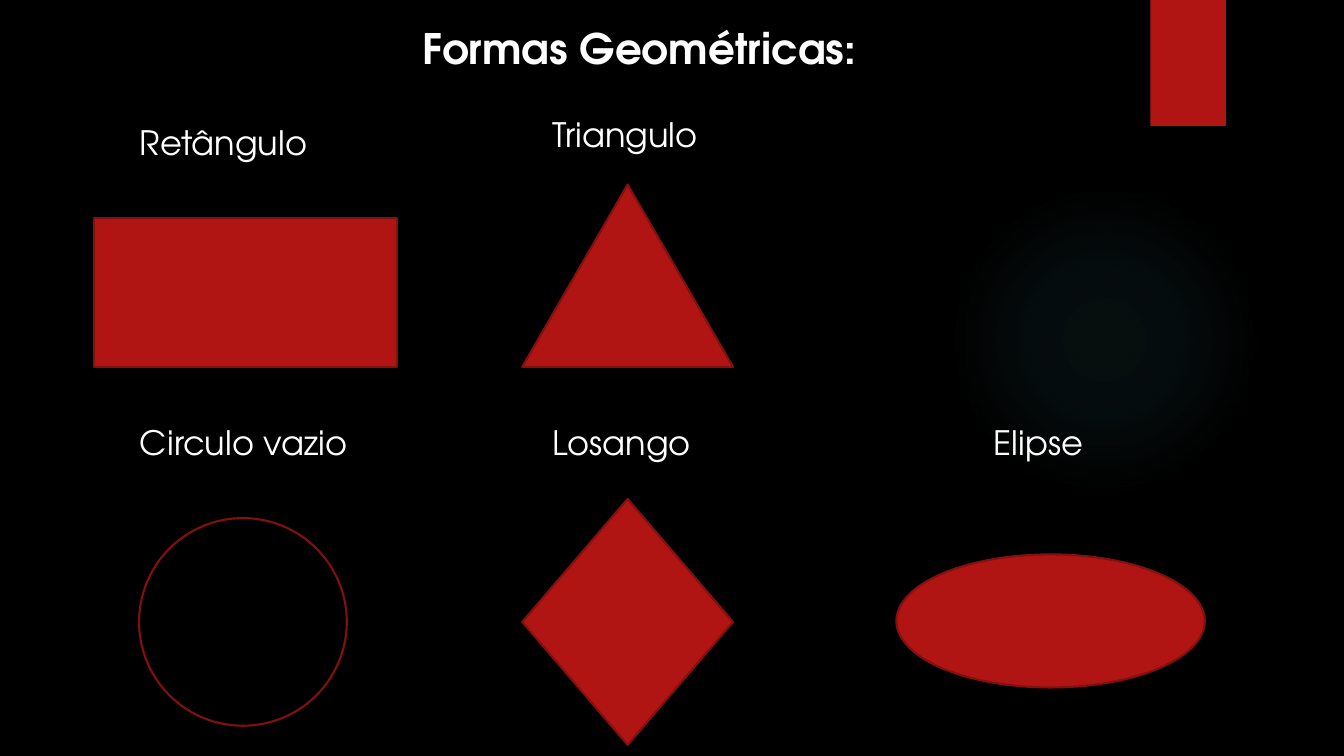
from lxml.etree import SubElement
from pptx import Presentation
from pptx.dml.color import RGBColor
from pptx.enum.shapes import MSO_SHAPE
from pptx.enum.text import MSO_AUTO_SIZE
from pptx.oxml import parse_xml
from pptx.oxml.ns import nsdecls, qn
from pptx.util import Inches, Pt

FONT = "TeX Gyre Adventor"
BLACK, WHITE, RED, DARK_RED, TEAL = "000000", "FFFFFF", "B01513", "82100E", "50B9C1"
GLOW_STOPS = [(0, 7), (36, 6), (69, 0)]

# label, label position, shape, shape box, fill
FIGURES = [
    ("Retângulo", (1.29, 1.16), MSO_SHAPE.RECTANGLE, (0.93, 2.16, 3.01, 1.48), RED),
    ("Triangulo", (5.38, 1.08), MSO_SHAPE.ISOSCELES_TRIANGLE, (5.18, 1.83, 2.09, 1.81), RED),
    ("Circulo vazio", (1.29, 4.14), MSO_SHAPE.OVAL, (1.38, 5.14, 2.06, 2.06), None),
    ("Losango", (5.38, 4.14), MSO_SHAPE.DIAMOND, (5.18, 4.95, 2.09, 2.44), RED),
    ("Elipse", (9.76, 4.14), MSO_SHAPE.OVAL, (8.89, 5.5, 3.06, 1.32), RED),
]


def color(value):
    return RGBColor.from_string(value)


def add_figure(page, kind, box, fill=None, line=None):
    shape = page.shapes.add_shape(kind, *map(Inches, box))
    shape.shadow.inherit = False
    if fill:
        shape.fill.solid()
        shape.fill.fore_color.rgb = color(fill)
    else:
        shape.fill.background()
    if line:
        shape.line.color.rgb = color(line)
        shape.line.width = Pt(1.5)
    else:
        shape.line.fill.background()
    return shape


def add_text(page, text, box, **font_format):
    frame = page.shapes.add_textbox(*map(Inches, box)).text_frame
    frame.word_wrap = False
    frame.auto_size = MSO_AUTO_SIZE.SHAPE_TO_FIT_TEXT
    span = frame.paragraphs[0].add_run()
    span.text = text
    span.font.color.rgb = color(WHITE)
    for name, value in {"name": FONT, **font_format}.items():
        setattr(span.font, name, value)


def add_glow(page, box):
    """Add a faint circle that fades out from its centre."""
    glow = add_figure(page, MSO_SHAPE.OVAL, box)
    stops = "".join(
        f'<a:gs pos="{place * 1000}"><a:srgbClr val="{TEAL}">'
        f'<a:alpha val="{alpha * 1000}"/></a:srgbClr></a:gs>'
        for place, alpha in GLOW_STOPS
    )
    gradient = parse_xml(
        f'<a:gradFill {nsdecls("a")}><a:gsLst>{stops}</a:gsLst><a:path path="circle">'
        '<a:fillToRect l="50000" t="50000" r="50000" b="50000"/></a:path></a:gradFill>'
    )
    properties = glow.element.spPr
    properties.replace(properties.find(qn("a:noFill")), gradient)


def add_ribbon(page, box):
    """Add the red tab at the top edge with its soft shadow."""
    ribbon = add_figure(page, MSO_SHAPE.RECTANGLE, box, RED)
    effects = ribbon.element.spPr.find(qn("a:effectLst"))
    shadow = SubElement(effects, qn("a:outerShdw"), blurRad=str(Pt(3)),
                        dist=str(Pt(2)), dir="5400000", rotWithShape="0")
    tint = SubElement(shadow, qn("a:srgbClr"), val=BLACK)
    SubElement(tint, qn("a:alpha"), val="45000")


def add_shapes_slide(deck):
    page = deck.slides.add_slide(deck.slide_layouts[6])
    page.background.fill.solid()
    page.background.fill.fore_color.rgb = color(BLACK)
    add_glow(page, (9.41, 1.83, 3.08, 3.08))
    add_ribbon(page, (11.41, 0, 0.75, 1.25))
    for label, (left, top), kind, box, fill in FIGURES:
        add_figure(page, kind, box, fill, DARK_RED)
        add_text(page, label, (left, top, 2.3, 0.5), size=Pt(24))
    add_text(page, "Formas Geométricas:", (4.09, 0.17, 4.68, 0.61), size=Pt(30), bold=True)


def main():
    deck = Presentation()
    deck.slide_width, deck.slide_height = Inches(13.33), Inches(7.5)
    add_shapes_slide(deck)
    deck.save("out.pptx")


if __name__ == "__main__":
    main()
